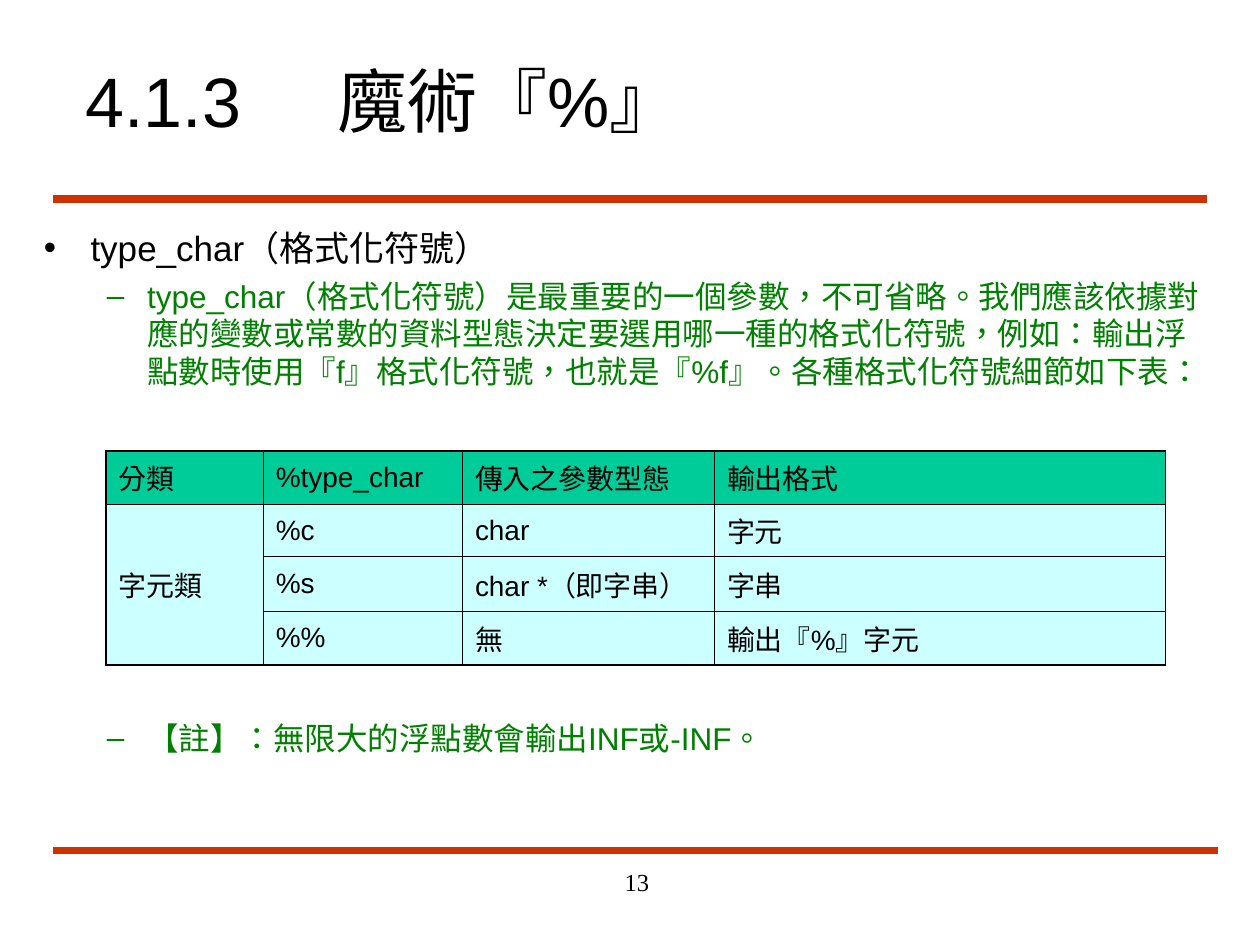
from lxml import etree
from pptx import Presentation
from pptx import util as u
from pptx.dml.color import RGBColor
from pptx.enum import shapes, text
from pptx.oxml.ns import qn

COLORS = {"rule": "CC3300", "ink": "000000", "green": "008000",
          "header": "00CC99", "cell": "CCFFFF"}
THICK, THIN = 1.08, 0.45

HEADING = "type_char（格式化符號）"
EXPLANATION = ("type_char（格式化符號）是最重要的一個參數，不可省略。我們應該依據對應的變數或常數的"
               "資料型態決定要選用哪一種的格式化符號，例如：輸出浮點數時使用『f』格式化符號，"
               "也就是『%f』。各種格式化符號細節如下表：")
NOTE = "【註】：無限大的浮點數會輸出INF或-INF。"
ROWS = [["分類", "%type_char", "傳入之參數型態", "輸出格式"],
        ["字元類", "%c", "char", "字元"],
        ["", "%s", "char *（即字串）", "字串"],
        ["", "%%", "無", "輸出『%』字元"]]
COLUMN_WIDTHS = [1.25, 1.58, 2, 3.58]
ROW_HEIGHTS = [0.42, 0.42, 0.43, 0.43]


def color(name):
    return RGBColor.from_string(COLORS[name])


def write(paragraph, content, size, ink="ink", font="Arial", align=None, before=0):
    run = paragraph.add_run()
    run.text = content
    run.font.size = u.Pt(size)
    run.font.name = font
    run.font.color.rgb = color(ink)
    run._r.get_or_add_rPr().set("lang", "zh-TW")
    paragraph.alignment = align
    paragraph.space_before = u.Pt(before)


def add_text_box(slide, left, top, width, height, anchor=text.MSO_ANCHOR.TOP):
    box = slide.shapes.add_textbox(*map(u.Inches, (left, top, width, height)))
    box.text_frame.word_wrap = True
    box.text_frame.vertical_anchor = anchor
    return box.text_frame


def add_bullet(paragraph, symbol, ink, margin, indent):
    properties = paragraph._p.get_or_add_pPr()
    properties.set("marL", str(u.Inches(margin)))
    properties.set("indent", str(u.Inches(indent)))
    bullet_color = etree.SubElement(properties, qn("a:buClr"))
    etree.SubElement(bullet_color, qn("a:srgbClr"), val=COLORS[ink])
    etree.SubElement(properties, qn("a:buFont"), typeface="Arial")
    etree.SubElement(properties, qn("a:buChar"), char=symbol)


def add_rule(slide, left, top, width):
    line = slide.shapes.add_connector(
        shapes.MSO_CONNECTOR.STRAIGHT, u.Inches(left), u.Inches(top),
        u.Inches(left + width), u.Inches(top))
    line.line.color.rgb = color("rule")
    line.line.width = u.Pt(4.5)
    etree.SubElement(line._element.spPr, qn("a:effectLst"))


def add_title(slide, left, top, width, height):
    frame = add_text_box(slide, left, top, width, height, text.MSO_ANCHOR.MIDDLE)
    paragraph = frame.paragraphs[0]
    tabs = etree.SubElement(paragraph._p.get_or_add_pPr(), qn("a:tabLst"))
    etree.SubElement(tabs, qn("a:tab"), pos=str(u.Inches(2)), algn="l")
    write(paragraph, "4.1.3\t魔術『%』", 40)


def add_body(slide, left, top, width, height):
    """Place the bullets, with room for the table above the closing note."""
    frame = add_text_box(slide, left, top, width, height)
    heading = frame.paragraphs[0]
    add_bullet(heading, "•", "ink", 0.37, -0.37)
    write(heading, HEADING, 20)
    for content, before in ((EXPLANATION, 4.5), (NOTE, 188)):
        paragraph = frame.add_paragraph()
        paragraph.level = 1
        add_bullet(paragraph, "–", "green", 0.82, -0.32)
        write(paragraph, content, 18, "green", before=before)


def set_borders(cell, **widths):
    properties = cell._tc.get_or_add_tcPr()
    for position, side in enumerate(("lnL", "lnR", "lnT", "lnB")):
        line = etree.Element(qn("a:" + side), w=str(u.Pt(widths[side])))
        fill = etree.SubElement(line, qn("a:solidFill"))
        etree.SubElement(fill, qn("a:srgbClr"), val=COLORS["ink"])
        properties.insert(position, line)


def add_format_table(slide, left, top):
    last = len(ROWS) - 1
    frame = slide.shapes.add_table(
        len(ROWS), len(COLUMN_WIDTHS), u.Inches(left), u.Inches(top),
        u.Inches(sum(COLUMN_WIDTHS)), u.Inches(sum(ROW_HEIGHTS)))
    table = frame.table
    for column, width in zip(table.columns, COLUMN_WIDTHS):
        column.width = u.Inches(width)
    for row, height in zip(table.rows, ROW_HEIGHTS):
        row.height = u.Inches(height)
    table.cell(1, 0).merge(table.cell(last, 0))
    for row_index, values in enumerate(ROWS):
        for column_index, value in enumerate(values):
            cell = table.cell(row_index, column_index)
            cell.fill.solid()
            cell.fill.fore_color.rgb = color("cell" if row_index else "header")
            cell.vertical_anchor = text.MSO_ANCHOR.MIDDLE
            cell.margin_top = cell.margin_bottom = u.Inches(0.05)
            if value:
                write(cell.text_frame.paragraphs[0], value, 16)
            ends_table = row_index == last or (row_index, column_index) == (1, 0)
            set_borders(cell, lnL=THICK, lnR=THICK,
                        lnT=THIN if row_index else THICK,
                        lnB=THICK if ends_table else THIN)


def add_page_number(slide, left, top, width, height):
    frame = add_text_box(slide, left, top, width, height)
    write(frame.paragraphs[0], "13", 14, font="Times New Roman",
          align=text.PP_ALIGN.RIGHT)


def main():
    presentation = Presentation()
    presentation.slide_width = u.Inches(10)
    presentation.slide_height = u.Inches(7.5)
    slide = presentation.slides.add_slide(presentation.slide_layouts[6])
    add_rule(slide, 0.42, 1.58, 9.16)
    add_rule(slide, 0.42, 6.75, 9.25)
    add_title(slide, 0.58, 0.33, 8.67, 0.92)
    add_body(slide, 0.25, 1.75, 9.38, 4.58)
    add_format_table(slide, 0.84, 3.58)
    add_page_number(slide, 3.17, 6.83, 2.08, 0.5)
    presentation.save("out.pptx")


if __name__ == "__main__":
    main()
